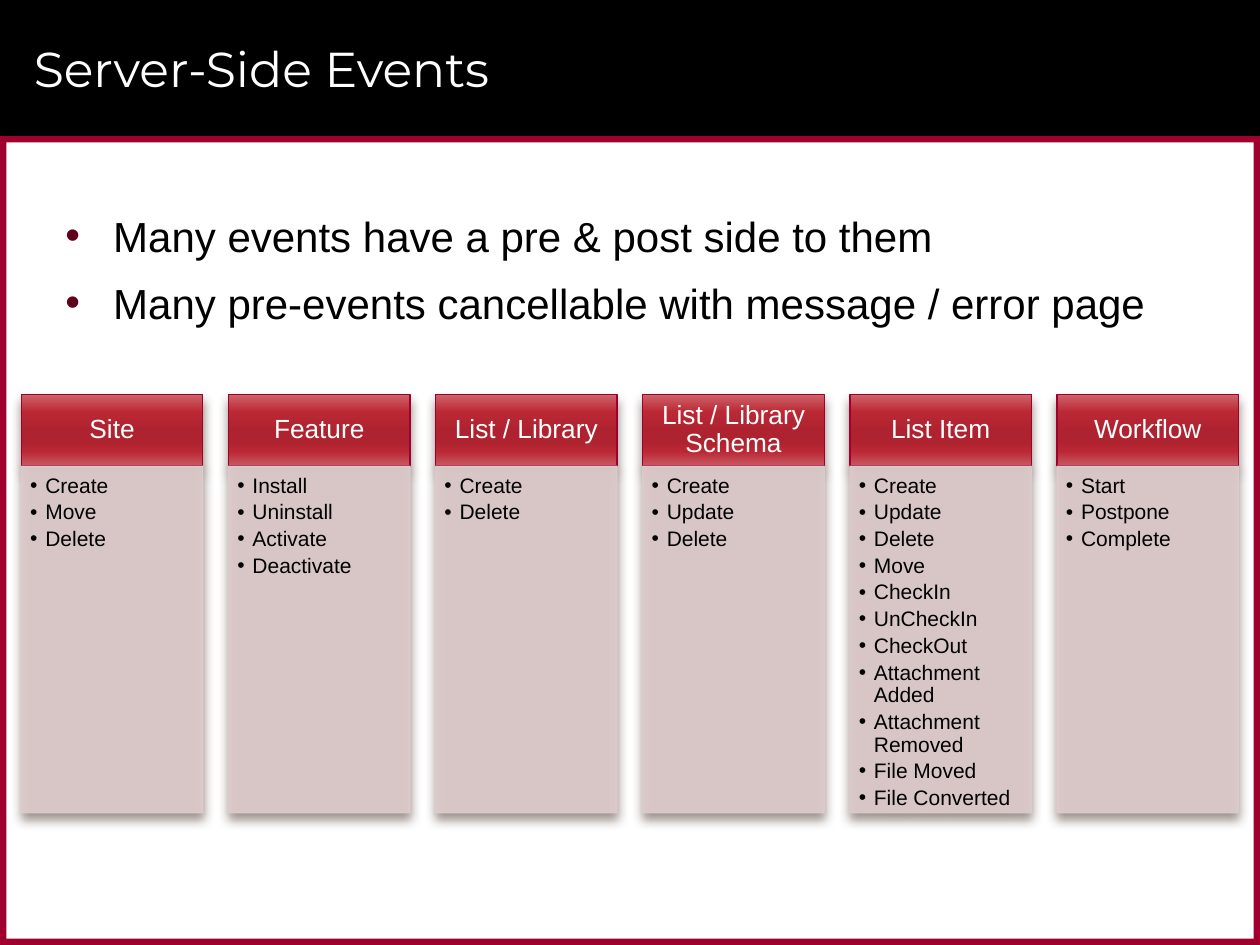
from lxml.etree import SubElement
from pptx import Presentation
from pptx.dml.color import RGBColor
from pptx.enum.shapes import MSO_SHAPE
from pptx.enum.text import MSO_ANCHOR, PP_ALIGN
from pptx.oxml.ns import qn
from pptx.util import Inches, Pt


def color(value):
    return RGBColor.from_string(value)


def add_bullet(paragraph, indent, bullet_color):
    properties = paragraph._p.get_or_add_pPr()
    properties.set("marL", str(Inches(indent)))
    properties.set("indent", str(-Inches(indent)))
    holder = SubElement(properties, qn("a:buClr"))
    SubElement(holder, qn("a:srgbClr"), val=bullet_color)
    SubElement(properties, qn("a:buFont"), typeface="Arial")
    SubElement(properties, qn("a:buChar"), char="•")


presentation = Presentation()
presentation.slide_width = Inches(10)
presentation.slide_height = Inches(7.5)
slide = presentation.slides.add_slide(presentation.slide_layouts[6])

frame_parts = [
    (0, 0, 10, 1.08, "000000"),
    (0, 1.08, 10, 0.05, "9F002D"),
    (0, 7.45, 10, 0.05, "9F002D"),
    (9.95, 1.08, 0.05, 6.42, "9F002D"),
    (0, 1.08, 0.05, 6.42, "9F002D"),
]
for left, top, width, height, fill in frame_parts:
    shape = slide.shapes.add_shape(
        MSO_SHAPE.RECTANGLE, Inches(left), Inches(top), Inches(width), Inches(height)
    )
    shape.shadow.inherit = False
    shape.fill.solid()
    shape.fill.fore_color.rgb = color(fill)
    shape.line.fill.background()

title = slide.shapes.add_textbox(Inches(0.17), Inches(0.08), Inches(9.42), Inches(0.92))
title.text_frame.word_wrap = True
title.text_frame.vertical_anchor = MSO_ANCHOR.MIDDLE
paragraph = title.text_frame.paragraphs[0]
paragraph.text = "Server-Side Events"
paragraph.font.name = "Montserrat"
paragraph.font.size = Pt(28)
paragraph.font.color.rgb = color("FFFFFF")

columns = [
    ("Site", ["Create", "Move", "Delete"]),
    ("Feature", ["Install", "Uninstall", "Activate", "Deactivate"]),
    ("List / Library", ["Create", "Delete"]),
    ("List / Library Schema", ["Create", "Update", "Delete"]),
    ("List Item", [
        "Create", "Update", "Delete", "Move", "CheckIn", "UnCheckIn", "CheckOut",
        "Attachment Added", "Attachment Removed", "File Moved", "File Converted",
    ]),
    ("Workflow", ["Start", "Postpone", "Complete"]),
]
gradient_stops = [
    (0, "CE646B"), (25, "BB2834"), (50, "AE232F"),
    (65, "AE232F"), (80, "BA2834"), (100, "C95B63"),
]
first_left = 0.17
column_pitch = (8.39 - first_left) / (len(columns) - 1)

for index, (heading, events) in enumerate(columns):
    left = Inches(first_left + index * column_pitch)
    header = slide.shapes.add_shape(
        MSO_SHAPE.RECTANGLE, left, Inches(3.13), Inches(1.44), Inches(0.57)
    )
    header.fill.gradient()
    header.fill.gradient_angle = 270
    stop_list = header._element.spPr.find(".//" + qn("a:gsLst"))
    stop_list.clear()
    for position, value in gradient_stops:
        stop = SubElement(stop_list, qn("a:gs"), pos=str(position * 1000))
        SubElement(stop, qn("a:srgbClr"), val=value)
    header.line.color.rgb = color("9F002D")

    body = slide.shapes.add_shape(
        MSO_SHAPE.RECTANGLE, left, Inches(3.7), Inches(1.44), Inches(2.75)
    )
    body.fill.solid()
    body.fill.fore_color.rgb = color("DFCCCD")
    body.line.color.rgb = color("DFCCCD")
    for body_color in body._element.spPr.findall(".//" + qn("a:srgbClr")):
        SubElement(body_color, qn("a:alpha"), val="90000")

    for shape, insets, anchor, lines, size, text_color, space in [
        (header, (0.12, 0.07, 0.12, 0.07), MSO_ANCHOR.MIDDLE, [heading], 15, "FFFFFF", 0),
        (body, (0.07, 0.07, 0.09, 0.1), MSO_ANCHOR.TOP, events, 12, "000000", 2.3),
    ]:
        shape.line.width = Pt(0.79)
        shape.shadow.inherit = False
        effects = shape._element.spPr.find(qn("a:effectLst"))
        shadow = SubElement(
            effects, qn("a:outerShdw"), blurRad=str(Pt(6)), dist=str(Pt(4)),
            dir="5400000", rotWithShape="0",
        )
        shadow_color = SubElement(shadow, qn("a:srgbClr"), val="4E3B30")
        SubElement(shadow_color, qn("a:alpha"), val="60000")

        frame = shape.text_frame
        frame.word_wrap = True
        frame.vertical_anchor = anchor
        frame.margin_left, frame.margin_top, frame.margin_right, frame.margin_bottom = map(
            Inches, insets
        )
        frame.text = "\n".join(lines)
        for paragraph in frame.paragraphs:
            paragraph.alignment = PP_ALIGN.CENTER if shape is header else PP_ALIGN.LEFT
            paragraph.line_spacing = 0.9
            paragraph.space_after = Pt(space)
            if shape is body:
                add_bullet(paragraph, 0.12, "000000")
            paragraph.font.name = "Arial"
            paragraph.font.size = Pt(size)
            paragraph.font.color.rgb = color(text_color)

summary = slide.shapes.add_textbox(Inches(0.42), Inches(1.62), Inches(9.17), Inches(1.3))
summary.text_frame.word_wrap = True
summary.text_frame.text = "\n".join([
    "Many events have a pre & post side to them",
    "Many pre-events cancellable with message / error page",
])
for paragraph in summary.text_frame.paragraphs:
    paragraph.space_after = Pt(9.5)
    add_bullet(paragraph, 0.38, "60001B")
    paragraph.font.name = "Arial"
    paragraph.font.size = Pt(24)
    paragraph.font.color.rgb = color("000000")

presentation.save("out.pptx")
